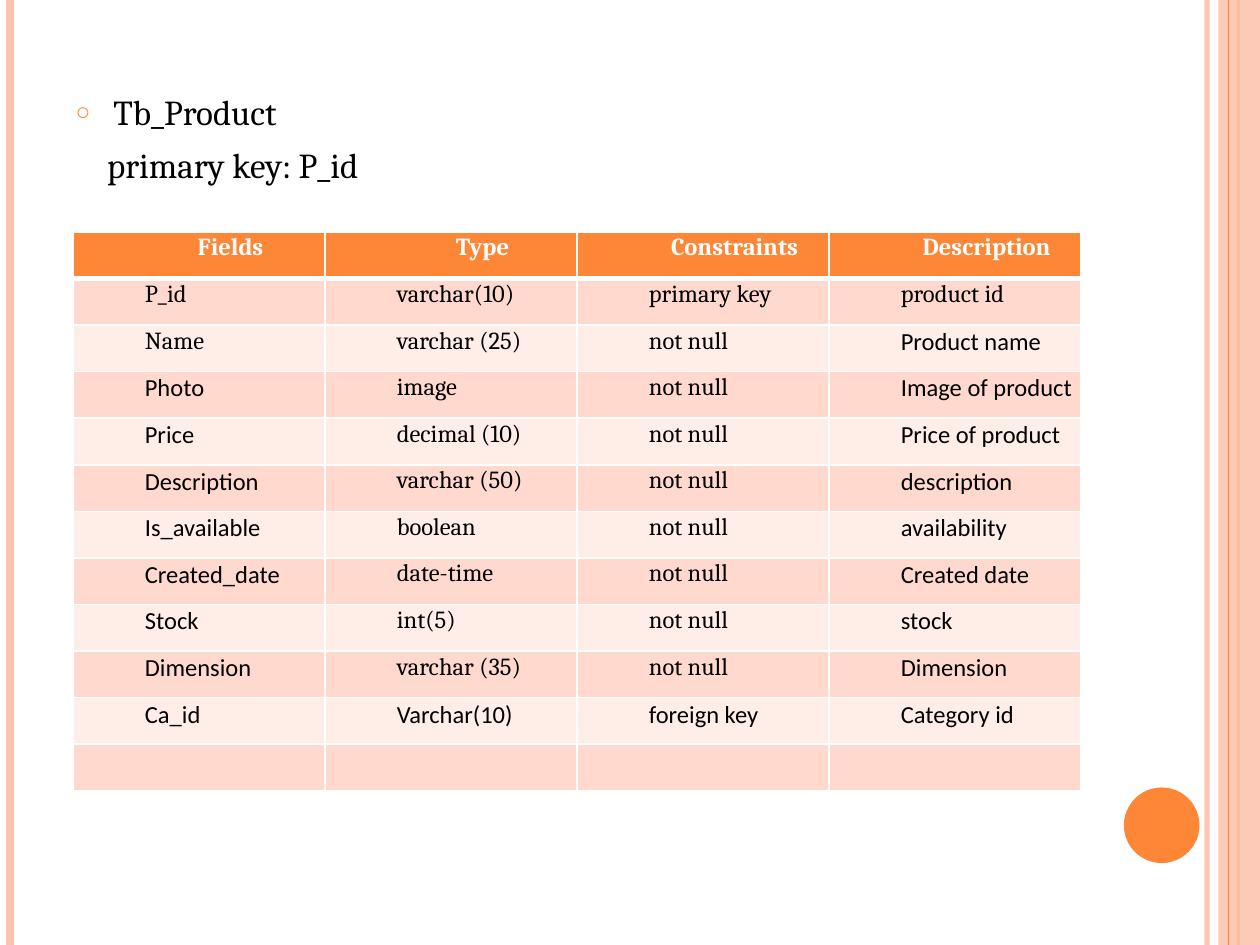
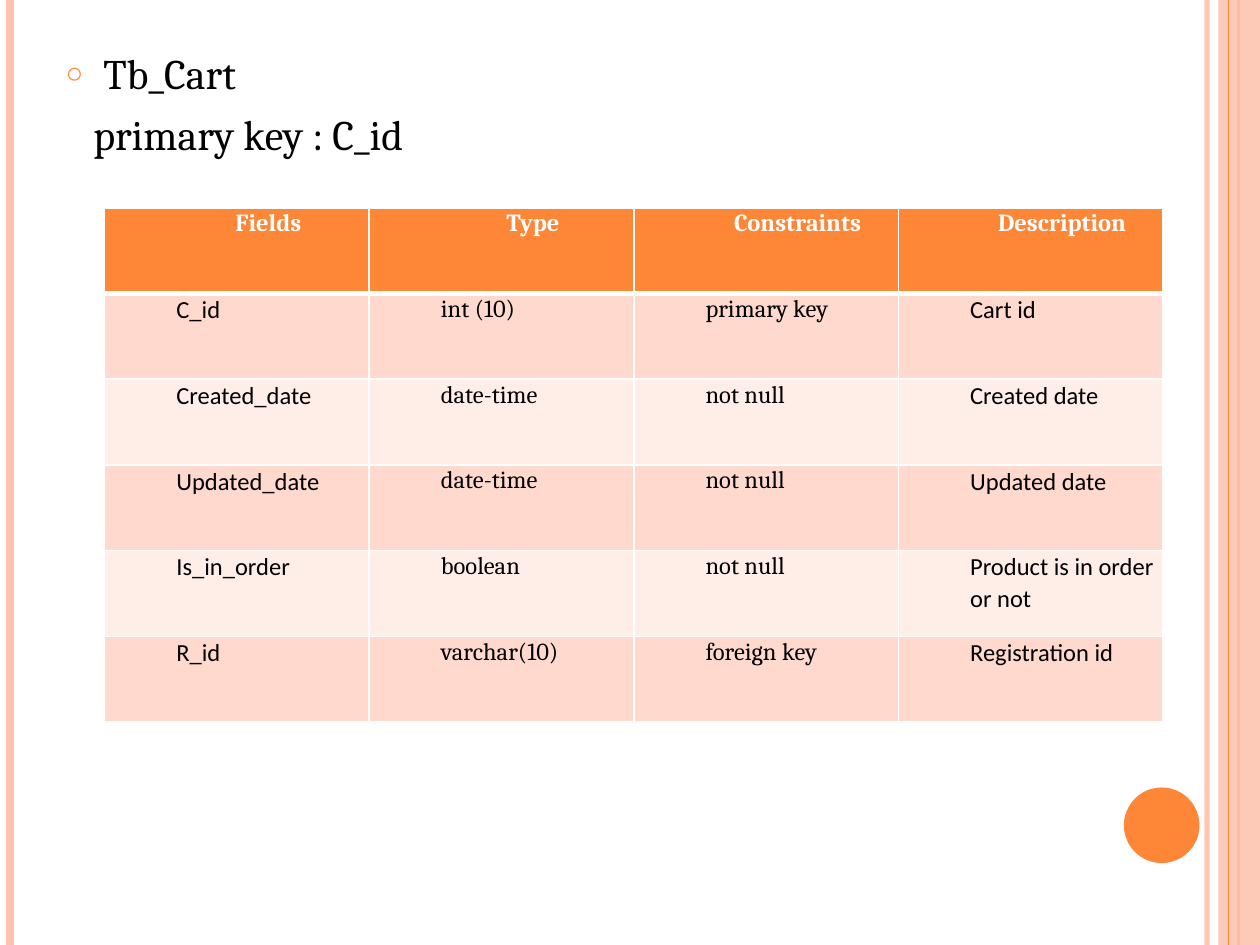
import pptx
import pptx.dml.color
import pptx.enum.shapes
import pptx.enum.text
import pptx.oxml.ns
import pptx.util
from lxml import etree

Inches = pptx.util.Inches
Pt = pptx.util.Pt
RGBColor = pptx.dml.color.RGBColor
qn = pptx.oxml.ns.qn
Align = pptx.enum.text.PP_ALIGN

# Colours and fonts
ORANGE = RGBColor(0xFE, 0x86, 0x37)
PEACH = RGBColor(0xFE, 0xC3, 0xAE)
ROW_DARK = RGBColor(0xFF, 0xD9, 0xCE)
ROW_LIGHT = RGBColor(0xFF, 0xED, 0xE8)
WHITE = RGBColor(0xFF, 0xFF, 0xFF)
BLACK = RGBColor(0, 0, 0)
SERIF, SANS = "Cambria", "Calibri"

# Fonts of the four columns in a table row
ALL_SERIF = (SERIF,) * 4
ALL_SANS = (SANS,) * 4
SANS_LAST = (SERIF, SERIF, SERIF, SANS)
SANS_ENDS = (SANS, SERIF, SERIF, SANS)

HEADINGS = ("Fields", "Type", "Constraints", "Description")
PRODUCT_FIELDS = [
    (ALL_SERIF, ("P_id", "varchar(10)", "primary key", "product id")),
    (SANS_LAST, ("Name", "varchar (25)", "not null", "Product name")),
    (SANS_ENDS, ("Photo", "image", "not null", "Image of product")),
    (SANS_ENDS, ("Price", "decimal (10)", "not null", "Price of product")),
    (SANS_ENDS, ("Description", "varchar (50)", "not null", "description")),
    (SANS_ENDS, ("Is_available", "boolean", "not null", "availability")),
    (SANS_ENDS, ("Created_date", "date-time", "not null", "Created date")),
    (SANS_ENDS, ("Stock", "int(5)", "not null", "stock")),
    (SANS_ENDS, ("Dimension", "varchar (35)", "not null", "Dimension")),
    (ALL_SANS, ("Ca_id", "Varchar(10)", "foreign key", "Category id")),
    (ALL_SANS, ("", "", "", "")),
]
CART_FIELDS = [
    (SANS_ENDS, ("C_id", "int (10)", "primary key", "Cart id")),
    (SANS_ENDS, ("Created_date", "date-time", "not null", "Created date")),
    (SANS_ENDS, ("Updated_date", "date-time", "not null", "Updated date")),
    (SANS_ENDS, ("Is_in_order", "boolean", "not null", "Product is in order or not")),
    (SANS_ENDS, ("R_id", "varchar(10)", "foreign key", "Registration id")),
]


def apply(target, values):
    for name, value in values.items():
        setattr(target, name, value)


def add_xml(parent, tag, **attributes):
    child = etree.SubElement(parent, qn(tag))
    for name, value in attributes.items():
        child.set(name, str(value))
    return child


def set_font(font, color, **values):
    apply(font, values)
    font.color.rgb = color


def set_opacity(shape, percent):
    color = next(shape._element.spPr.iter(qn("a:srgbClr")))
    add_xml(color, "a:alpha", val=percent * 1000)


# Stripes and circle framing every slide
def add_stripe(slide, x, color, width):
    stripe = slide.shapes.add_connector(
        pptx.enum.shapes.MSO_CONNECTOR.STRAIGHT, Inches(x), 0, Inches(x), Inches(7.5))
    stripe.line.color.rgb = color
    stripe.line.width = Pt(width)
    add_xml(stripe._element.spPr, "a:effectLst")
    return stripe


def add_plain_shape(slide, preset, box, color):
    shape = slide.shapes.add_shape(preset, *map(Inches, box))
    shape.shadow.inherit = False
    shape.fill.solid()
    shape.fill.fore_color.rgb = color
    shape.line.fill.background()
    return shape


def add_frame(slide):
    preset = pptx.enum.shapes.MSO_SHAPE
    set_opacity(add_stripe(slide, 9.58, PEACH, 3), 93)
    add_stripe(slide, 0.08, PEACH, 4.5)
    add_stripe(slide, 9.83, ORANGE, 1.5)
    band = add_plain_shape(slide, preset.RECTANGLE, (9.67, 0, 0.33, 7.5), PEACH)
    set_opacity(band, 87)
    add_stripe(slide, 9.75, ORANGE, 0.75)
    add_plain_shape(slide, preset.OVAL, (8.92, 6.25, 0.6, 0.6), ORANGE)


# Table name with a ring bullet, primary key below it
def fill_heading(body, box, table_name, key_line, size, key_indent):
    left, top, width, height = map(Inches, box)
    apply(body, {"left": left, "top": top, "width": width, "height": height})
    frame = body.text_frame
    apply(frame, {"word_wrap": True,
                  "vertical_anchor": pptx.enum.text.MSO_ANCHOR.TOP})
    name, key = frame.paragraphs[0], frame.add_paragraph()

    name_format = name._p.get_or_add_pPr()
    name_format.set("marL", str(Inches(0.3)))
    name_format.set("indent", str(Inches(-0.3)))
    add_xml(add_xml(name_format, "a:buClr"), "a:srgbClr", val=ORANGE)
    add_xml(name_format, "a:buSzPct", val=70000)
    add_xml(name_format, "a:buChar", char="○")

    key_format = key._p.get_or_add_pPr()
    key_format.set("marL", str(Inches(key_indent)))
    key_format.set("indent", "0")
    add_xml(key_format, "a:buNone")

    for paragraph, text, gap in ((name, table_name, 0), (key, key_line, 6)):
        paragraph.space_before = Pt(gap)
        run = paragraph.add_run()
        run.text = text
        set_font(run.font, BLACK, name=SERIF, size=Pt(size))


# Table of fields
def add_borders(cell, top, bottom):
    properties = cell._tc.get_or_add_tcPr()
    for side, width in (("L", 1), ("R", 1), ("T", top), ("B", bottom)):
        edge = add_xml(properties, "a:ln" + side, w=Pt(width))
        add_xml(add_xml(edge, "a:solidFill"), "a:srgbClr", val=WHITE)


def fill_cell(cell, text, font_name, row, is_last_column):
    is_header = row == 0
    apply(cell, {"margin_left": Inches(0.07), "margin_right": Inches(0.07),
                 "margin_top": 0, "margin_bottom": 0})
    add_borders(cell, 3 if row == 1 else 1, 3 if is_header else 1)
    cell.fill.solid()
    cell.fill.fore_color.rgb = ORANGE if is_header else (ROW_LIGHT, ROW_DARK)[row % 2]
    if not text:
        return
    paragraph = cell.text_frame.paragraphs[0]
    paragraph._p.get_or_add_pPr().set("marL", str(Inches(0.5)))
    apply(paragraph, {"alignment": Align.CENTER if is_header else Align.LEFT,
                      "line_spacing": 1.07,
                      "space_after": Pt(8 if is_last_column else 0)})
    run = paragraph.add_run()
    run.text = text
    set_font(run.font, WHITE if is_header else BLACK,
             name=font_name, size=Pt(14), bold=is_header)


def add_field_table(slide, left, top, column_width, row_height, fields):
    rows = [(ALL_SERIF, HEADINGS)] + fields
    columns = len(HEADINGS)
    table = slide.shapes.add_table(
        len(rows), columns, Inches(left), Inches(top),
        Inches(column_width * columns), Inches(row_height * len(rows))).table
    for column in table.columns:
        column.width = Inches(column_width)
    for r, (fonts, texts) in enumerate(rows):
        table.rows[r].height = Inches(row_height)
        for c, (font_name, text) in enumerate(zip(fonts, texts)):
            fill_cell(table.cell(r, c), text, font_name, r, c == columns - 1)


def add_schema_slide(deck, heading, field_table):
    slide = deck.slides.add_slide(deck.slide_layouts[1])
    unused_title = slide.shapes.title._element
    unused_title.getparent().remove(unused_title)
    add_frame(slide)
    fill_heading(slide.placeholders[1], **heading)
    add_field_table(slide, **field_table)


def main():
    deck = pptx.Presentation()
    deck.slide_width, deck.slide_height = Inches(10), Inches(7.5)
    add_schema_slide(
        deck,
        dict(box=(0.5, 0.67, 8, 1.25), table_name="Tb_Product",
             key_line="primary key: P_id", size=20, key_indent=0.25),
        dict(left=0.58, top=1.84, column_width=2, row_height=0.37,
             fields=PRODUCT_FIELDS))
    add_schema_slide(
        deck,
        dict(box=(0.42, 0.33, 8.17, 1.25), table_name="Tb_Cart",
             key_line="primary key : C_id", size=24, key_indent=0.22),
        dict(left=0.83, top=1.65, column_width=2.1, row_height=0.68,
             fields=CART_FIELDS))
    deck.save("out.pptx")


if __name__ == "__main__":
    main()
